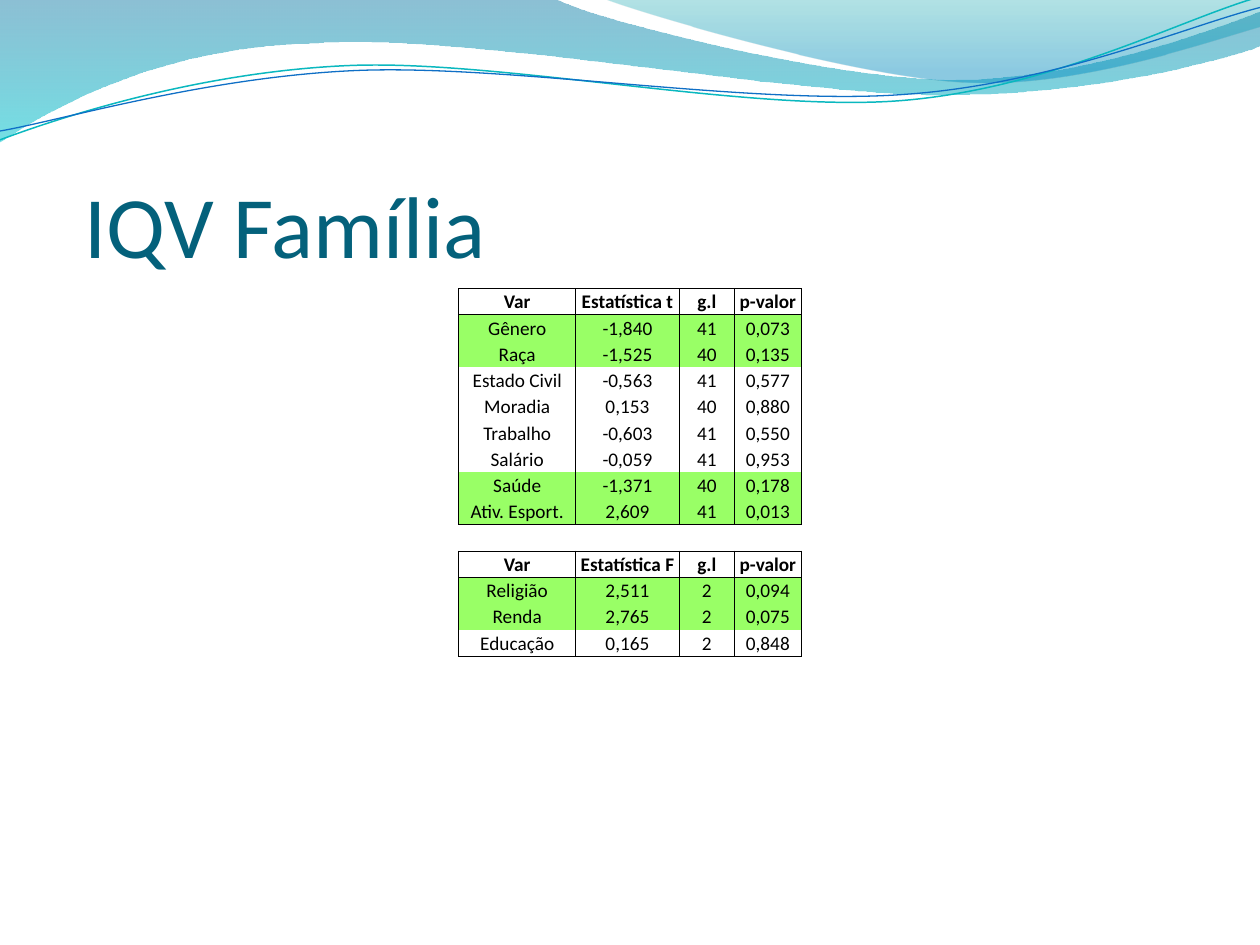
"""Build the "IQV Família" slide: wave header, title and a table of tests."""
from math import cos, radians, sin

from lxml import etree
from pptx import Presentation
from pptx.dml.color import RGBColor
from pptx.enum.text import MSO_ANCHOR, PP_ALIGN
from pptx.oxml.ns import qn
from pptx.util import Inches, Pt

LEFT, CENTER = PP_ALIGN.LEFT, PP_ALIGN.CENTER
BOTTOM, MIDDLE = MSO_ANCHOR.BOTTOM, MSO_ANCHOR.MIDDLE
BLACK = RGBColor(0x00, 0x00, 0x00)
TITLE_BLUE = RGBColor(0x04, 0x61, 0x7B)
HIGHLIGHT = RGBColor(0x99, 0xFF, 0x66)
DEEP_BLUE = RGBColor(0x00, 0x74, 0xA1)
AQUA = RGBColor(0x00, 0xC6, 0xCF)
TEAL = RGBColor(0x00, 0xA1, 0xA9)
SKY_BLUE = RGBColor(0x00, 0x8B, 0xBF)
LINE_TEAL = RGBColor(0x0A, 0xB8, 0xBF)
LINE_BLUE = RGBColor(0x0F, 0x6F, 0xC6)
PLAIN_TABLE_STYLE = "{2D5ABB26-0587-4C30-8999-92F81FD0307C}"


def write_text(paragraph, text, size=11, color=BLACK, bold=False, align=CENTER):
    paragraph.alignment = align
    run = paragraph.add_run()
    run.text = text
    run.font.name = "Calibri"
    run.font.size = Pt(size)
    run.font.bold = bold
    run.font.color.rgb = color


def draw_outline(shapes, start, segments, closed, tilt=0, center=(0, 0)):
    points = [start]
    for segment in segments:
        points.extend(zip(segment[::2], segment[1::2]))
    cosine, sine = cos(radians(tilt)), sin(radians(tilt))
    center_x, center_y = center
    emu_points = [
        (Inches(center_x + (x - center_x) * cosine - (y - center_y) * sine),
         Inches(center_y + (x - center_x) * sine + (y - center_y) * cosine))
        for x, y in points]
    builder = shapes.build_freeform(*emu_points[0], scale=1.0)
    builder.add_line_segments(emu_points[1:], close=closed)
    shape = builder.convert_to_shape()
    shape.shadow.inherit = False
    shape.rotation = -tilt
    nodes = iter(list(shape._element.iter(qn("a:lnTo"))))
    for segment in segments:
        first, *others = [next(nodes) for point in segment[::2]]
        if others:
            first.tag = qn("a:cubicBezTo")
        for node in others:
            first.append(node[0])
            node.getparent().remove(node)
    return shape


presentation = Presentation()
presentation.slide_width, presentation.slide_height = Inches(10), Inches(7.5)
slide = presentation.slides.add_slide(presentation.slide_layouts[6])

waves = [
    ((0, 0),
     [(4.4, -0.01), (4.76, 0.17, 6.64, 0.63, 7.58, 0.63),
      (8.53, 0.63, 9.58, 0.26, 10, 0.09), (10.01, 0.36),
      (9.83, 0.44, 8.7, 0.76, 7.46, 0.75), (6.22, 0.75, 3.82, 0.28, 2.57, 0.34),
      (1.29, 0.36, 0.46, 0.83, -0.01, 1.13), (0, 0)],
     [(0, DEEP_BLUE, 45), (1, AQUA, 55)]),
    ((4.79, -0.01),
     [(5.09, 0.11, 6.82, 0.62, 7.69, 0.65), (8.56, 0.69, 9.61, 0.32, 10, 0.21),
      (10, 0), (4.79, -0.01)],
     [(0, TEAL, 30), (0.8, SKY_BLUE, 45)]),
]
for start, segments, stops in waves:
    wave = draw_outline(slide.shapes, start, segments, True)
    wave.line.fill.background()
    wave.fill.gradient()
    wave.fill.gradient_angle = 270
    for stop, (position, color, opacity) in zip(wave.fill.gradient_stops, stops):
        stop.position = position
        stop.color.rgb = color
    color_nodes = wave._element.spPr.iter(qn("a:srgbClr"))
    for node, (position, color, opacity) in zip(color_nodes, stops):
        etree.SubElement(node, qn("a:alpha")).set("val", str(opacity * 1000))

wave_lines = [
    ((0, 1.11),
     [(0.48, 0.93, 1.58, 0.57, 2.77, 0.52), (3.95, 0.47, 5.93, 0.89, 7.13, 0.8),
      (8.33, 0.71, 9.38, 0.15, 9.98, -0.02)], (4.99, 0.58), LINE_TEAL, 0.85),
    ((0, 1.04),
     [(0.47, 0.96, 1.64, 0.61, 2.83, 0.56), (4.03, 0.51, 5.97, 0.84, 7.17, 0.75),
      (8.36, 0.67, 9.41, 0.21, 10, 0.06)], (5, 0.59), LINE_BLUE, 0.75),
]
for start, segments, center, color, width in wave_lines:
    wave_line = draw_outline(slide.shapes, start, segments, False, 2.7, center)
    wave_line.fill.background()
    wave_line.line.color.rgb = color
    wave_line.line.width = Pt(width)

title = slide.shapes.add_textbox(Inches(0.67), Inches(0.94), Inches(9), Inches(1.25))
title_frame = title.text_frame
title_frame.word_wrap = True
title_frame.vertical_anchor = BOTTOM
title_frame.margin_left = title_frame.margin_right = title_frame.margin_bottom = 0
title_frame.margin_top = Inches(0.05)
write_text(title_frame.paragraphs[0], "IQV Família", size=50, color=TITLE_BLUE, align=LEFT)

rows = [
    ("Var", "Estatística t", "g.l", "p-valor"),
    ("Gênero", "-1,840", "41", "0,073"),
    ("Raça", "-1,525", "40", "0,135"),
    ("Estado Civil", "-0,563", "41", "0,577"),
    ("Moradia", "0,153", "40", "0,880"),
    ("Trabalho", "-0,603", "41", "0,550"),
    ("Salário", "-0,059", "41", "0,953"),
    ("Saúde", "-1,371", "40", "0,178"),
    ("Ativ. Esport.", "2,609", "41", "0,013"),
    ("", "", "", ""),
    ("Var", "Estatística F", "g.l", "p-valor"),
    ("Religião", "2,511", "2", "0,094"),
    ("Renda", "2,765", "2", "0,075"),
    ("Educação", "0,165", "2", "0,848"),
]
highlighted = {"Gênero", "Raça", "Saúde", "Ativ. Esport.", "Religião", "Renda"}
ruled_edges = {0, 1, 9, 10, 11, 14}
column_widths = [0.93, 0.82, 0.44, 0.53]
table_height = Inches(2.92)

table = slide.shapes.add_table(
    len(rows), len(column_widths), Inches(3.64), Inches(2.29),
    Inches(sum(column_widths)), table_height).table
table.first_row = table.horz_banding = False
table._tbl.tblPr.find(qn("a:tableStyleId")).text = PLAIN_TABLE_STYLE
for column, width in zip(table.columns, column_widths):
    column.width = Inches(width)

for row_index, values in enumerate(rows):
    table.rows[row_index].height = table_height // len(rows)
    sides = {"L": values[0] != "", "R": values[0] != "",
             "T": row_index in ruled_edges, "B": row_index + 1 in ruled_edges}
    for column_index, value in enumerate(values):
        cell = table.cell(row_index, column_index)
        cell.vertical_anchor = MIDDLE
        cell.margin_left = cell.margin_right = cell.margin_top = Inches(0.01)
        cell.margin_bottom = 0
        paragraph = cell.text_frame.paragraphs[0]
        if value:
            write_text(paragraph, value, bold=values[0] == "Var")
        else:
            paragraph._p.get_or_add_endParaRPr().set("sz", "1100")
        properties = cell._tc.get_or_add_tcPr()
        for side, ruled in sides.items():
            border = etree.SubElement(properties, qn(f"a:ln{side}"), w=str(Pt(0.5)))
            if ruled:
                border_fill = etree.SubElement(border, qn("a:solidFill"))
                etree.SubElement(border_fill, qn("a:srgbClr"), val=str(BLACK))
            else:
                etree.SubElement(border, qn("a:noFill"))
        if values[0] in highlighted:
            cell.fill.solid()
            cell.fill.fore_color.rgb = HIGHLIGHT
        else:
            cell.fill.background()

presentation.save("out.pptx")
